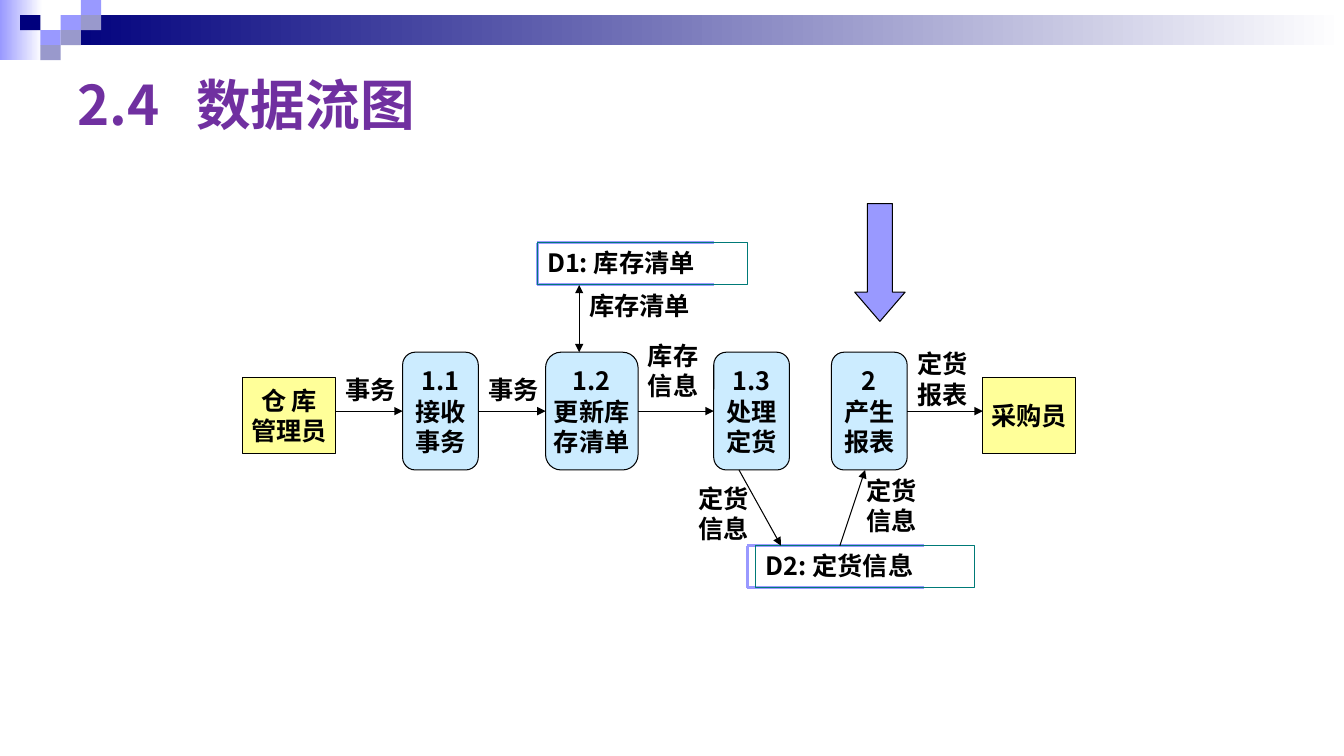
from dataclasses import dataclass

from lxml import etree
from pptx import Presentation
from pptx.dml.color import RGBColor
from pptx.enum.shapes import MSO_CONNECTOR, MSO_SHAPE
from pptx.enum.text import MSO_ANCHOR, PP_ALIGN
from pptx.oxml.ns import qn
from pptx.util import Cm, Pt

RECT = MSO_SHAPE.RECTANGLE
ROUND = MSO_SHAPE.ROUNDED_RECTANGLE
DOWN_ARROW = MSO_SHAPE.DOWN_ARROW
STRAIGHT = MSO_CONNECTOR.STRAIGHT
TOP, MIDDLE = MSO_ANCHOR.TOP, MSO_ANCHOR.MIDDLE
LEFT, CENTER = PP_ALIGN.LEFT, PP_ALIGN.CENTER


@dataclass(frozen=True)
class Theme:
    navy: str = "00007D"
    lilac: str = "9999FF"
    grey: str = "9999CC"
    white: str = "FFFFFF"
    black: str = "000000"
    purple: str = "7030A0"
    entity: str = "FFFF99"
    process: str = "CCECFF"
    store: str = "007A77"
    title_font: str = "Noto Sans CJK JP"
    body_font: str = "Noto Sans CJK SC"
    title_size: int = 39
    body_size: int = 18
    thin: float = 0.75
    thick: float = 2


T = Theme()


def rgb(color):
    return RGBColor.from_string(color)


def add_box(slide, kind, box, fill=None, line=None):
    sp = slide.shapes.add_shape(kind, *(Cm(v) for v in box))
    sp.shadow.inherit = False
    if fill:
        sp.fill.solid()
        sp.fill.fore_color.rgb = rgb(fill)
    else:
        sp.fill.background()
    if line:
        sp.line.color.rgb = rgb(line)
        sp.line.width = Pt(T.thin)
    else:
        sp.line.fill.background()
    return sp


def add_gradient(slide, box, color):
    sp = add_box(slide, RECT, box)
    sp.fill.gradient()
    sp.fill.gradient_angle = 0
    for stop, position, c in zip(sp.fill.gradient_stops, (0, 1), (color, T.white)):
        stop.position = position
        stop.color.rgb = rgb(c)


def add_line(slide, start, end, color, width, head=False, tail=False):
    cx = slide.shapes.add_connector(STRAIGHT, *(Cm(v) for v in (*start, *end)))
    cx.line.color.rgb = rgb(color)
    cx.line.width = Pt(width)
    ln = cx.line._get_or_add_ln()
    for tag, wanted in (("a:headEnd", head), ("a:tailEnd", tail)):
        if wanted:
            etree.SubElement(ln, qn(tag)).set("type", "triangle")
    etree.SubElement(cx._element.spPr, qn("a:effectLst"))


def write(sp, lines, align=LEFT, anchor=TOP, wrap=True, font=T.body_font,
          size=T.body_size, color=T.black, tab=None):
    tf = sp.text_frame
    tf.word_wrap = wrap
    tf.vertical_anchor = anchor
    for i, line in enumerate(lines):
        p = tf.add_paragraph() if i else tf.paragraphs[0]
        p.alignment = align
        if tab:
            tabs = etree.SubElement(p._p.get_or_add_pPr(), qn("a:tabLst"))
            stop = etree.SubElement(tabs, qn("a:tab"))
            stop.set("pos", str(Cm(tab)))
            stop.set("algn", "l")
        r = p.add_run()
        r.text = line
        r.font.name = font
        r.font.size = Pt(size)
        r.font.bold = True
        r.font.color.rgb = rgb(color)
        ea = etree.SubElement(r._r.get_or_add_rPr(), qn("a:ea"))
        ea.set("typeface", font)


def add_banner(slide, box):
    x, y, w, h = box
    tile_w, tile_h = 0.51, h / 4
    add_gradient(slide, (x, y, 1.07, h), T.lilac)
    add_gradient(slide, (x + 3 * tile_w, y + tile_h, w - 3 * tile_w, 2 * tile_h), T.navy)
    tiles = [(3, 1, T.lilac), (4, 0, T.lilac), (4, 1, T.grey), (2, 2, T.lilac),
             (1, 1, T.navy), (3, 2, T.grey), (2, 3, T.grey)]
    for col, row, color in tiles:
        add_box(slide, RECT, (x + col * tile_w, y + row * tile_h, tile_w, tile_h), color)


def add_title(slide, box, text):
    sp = slide.shapes.add_textbox(*(Cm(v) for v in box))
    write(sp, [text], anchor=MIDDLE, font=T.title_font, size=T.title_size,
          color=T.purple, tab=3)


def add_flow_diagram(slide, box):
    left, top, width, height = box
    unit_x, unit_y = width / 99, height / 41

    def at(col, row):
        return left + col * unit_x, top + row * unit_y

    def area(col, row, cols, rows):
        return (*at(col, row), cols * unit_x, rows * unit_y)

    entities = [(0, ["仓 库", "管理员"]), (88, ["采购员"])]
    processes = [
        (19, 9, ["1.1", "接收", "事务"]),
        (36, 11, ["1.2", "更新库", "存清单"]),
        (56, 9, ["1.3", "处理", "定货"]),
        (70, 9, ["2", "产生", "报表"]),
    ]
    nodes = [(RECT, T.entity, (col, 16, 11, 9), lines) for col, lines in entities]
    nodes += [(ROUND, T.process, (col, 13, cols, 14), lines)
              for col, cols, lines in processes]
    for kind, fill, cells, lines in nodes:
        sp = add_box(slide, kind, area(*cells), fill, T.black)
        write(sp, lines, CENTER, MIDDLE, wrap=False)

    stores = [(35, 0, 35, 25, "D1: 库存清单"), (60, 36, 61, 26, "D2: 定货信息")]
    for col, row, box_col, cols, text in stores:
        corners = [(col + 21, row), (col, row), (col, row + 5), (col + 21, row + 5)]
        for start, end in zip(corners, corners[1:]):
            add_line(slide, at(*start), at(*end), T.lilac, T.thick)
        sp = add_box(slide, RECT, area(box_col, row, cols, 5), line=T.store)
        write(sp, [text])

    flows = [
        ((11, 20), (19, 20), False),
        ((28, 20), (36, 20), False),
        ((47, 20), (56, 20), False),
        ((79, 20), (88, 20), False),
        ((40, 5), (40, 13), True),
        ((59, 27), (64, 36), False),
        ((71, 36), (74, 27), False),
    ]
    for start, end, both_ways in flows:
        add_line(slide, at(*start), at(*end), T.black, T.thin, both_ways, True)

    labels = [
        (11, 15, 9, "事务"),
        (28, 15, 9, "事务"),
        (47, 11, 9, "库存信息"),
        (53, 28, 9, "定货信息"),
        (73, 27, 9, "定货信息"),
        (79, 12, 9, "定货报表"),
        (40, 5, 17, "库存清单"),
    ]
    for col, row, cols, text in labels:
        rows = 5 if len(text) * 3 < cols else 8.4
        sp = slide.shapes.add_textbox(*(Cm(v) for v in area(col, row, cols, rows)))
        write(sp, [text])


def add_pointer(slide, box):
    sp = add_box(slide, DOWN_ARROW, box, T.lilac, T.black)
    sp.adjustments[0] = 0.5
    sp.adjustments[1] = 0.58


def main():
    prs = Presentation()
    prs.slide_width, prs.slide_height = Cm(33.87), Cm(19.05)
    slide = prs.slides.add_slide(prs.slide_layouts[6])
    add_banner(slide, (0, 0, 33.87, 1.52))
    add_title(slide, (1.7, 1.27, 30.48, 2.67), "2.4\t数据流图")
    add_pointer(slide, (21.54, 5.13, 1.27, 2.97))
    add_flow_diagram(slide, (6.12, 6.12, 20.98, 8.69))
    prs.save("out.pptx")


if __name__ == "__main__":
    main()
